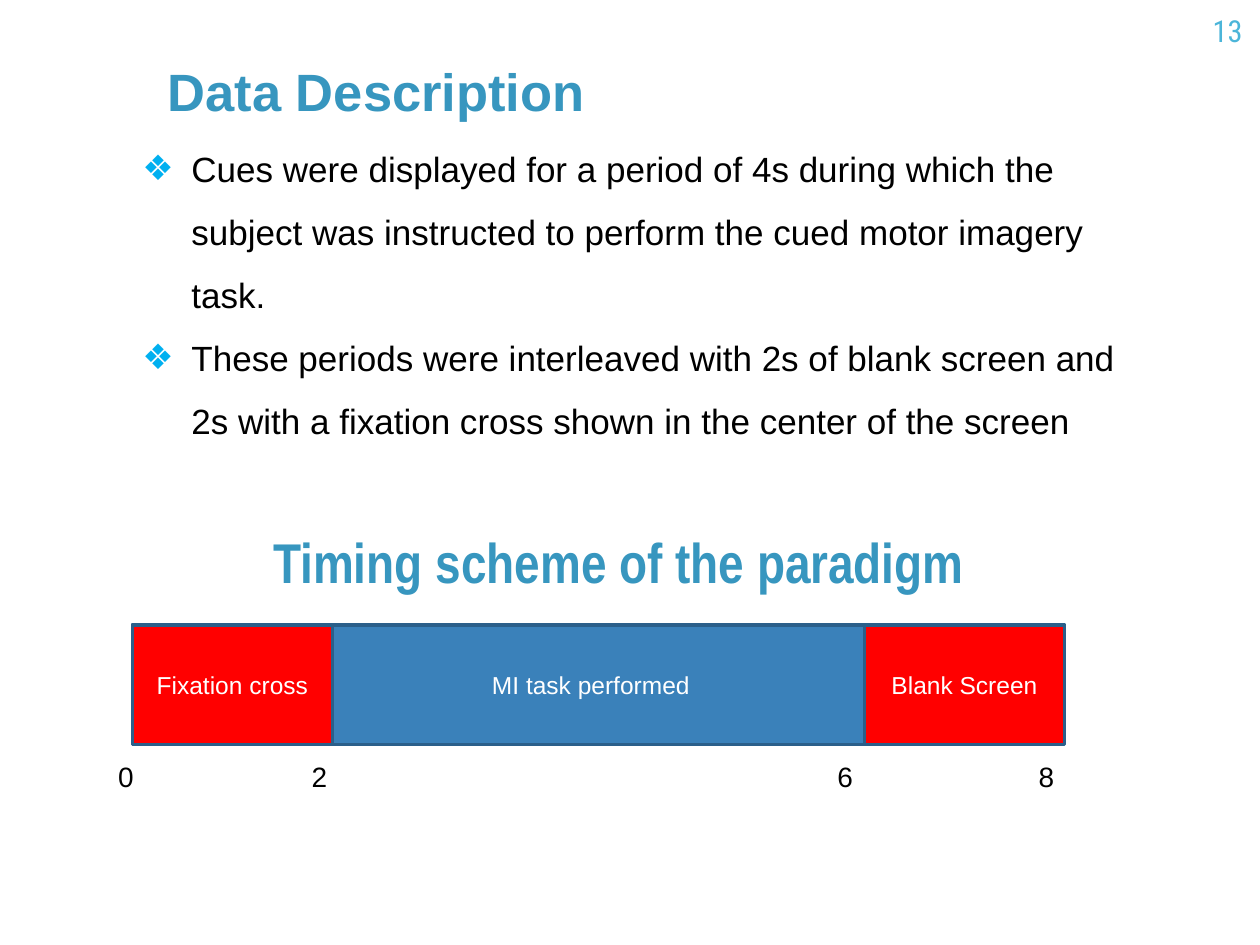
from lxml.etree import SubElement
from pptx import Presentation
from pptx.dml.color import RGBColor
from pptx.enum.shapes import MSO_SHAPE
from pptx.enum.text import MSO_ANCHOR as Anchor, MSO_AUTO_SIZE as AutoSize, PP_ALIGN as Align
from pptx.oxml.ns import qn
from pptx.util import Pt

BLACK = RGBColor(0, 0, 0)
WHITE = RGBColor(255, 255, 255)
RED = RGBColor(255, 0, 0)
BLUE = RGBColor(0x3A, 0x81, 0xBA)
OUTLINE = RGBColor(0x2B, 0x5F, 0x8A)
HEADING = RGBColor(0x37, 0x96, 0xBF)
NUMBER = RGBColor(0x4B, 0xB5, 0xD9)
BULLET = RGBColor(0, 0xB0, 0xF0)

# Content
TITLE = "Data Description"
POINTS = [
    "Cues were displayed for a period of 4s during which the subject was "
    "instructed to perform the cued motor imagery task.",
    "These periods were interleaved with 2s of blank screen and 2s with a "
    "fixation cross shown in the center of the screen",
]
SUBTITLE = "Timing scheme of the paradigm"
PHASES = [  # label, left, width, fill
    ("MI task performed", 75.6, 524.2, BLUE),
    ("Fixation cross", 75.6, 114.5, RED),
    ("Blank Screen", 493.9, 114.5, RED),
]
TIMES = [("0", 72), ("2", 182.5), ("6", 483), ("8", 598)]  # label, centre
BAR_TOP, BAR_HEIGHT = 357.1, 68.4


def place(shape, left, top, width, height):
    shape.left, shape.top = Pt(left), Pt(top)
    shape.width, shape.height = Pt(width), Pt(height)


def write(shape, *texts, size, color, font="Arial", bold=False, align=Align.LEFT,
          anchor=Anchor.TOP, spacing=1.0, inset=7.2, level=0):
    frame = shape.text_frame
    frame.word_wrap = True
    frame.auto_size = AutoSize.NONE
    frame.vertical_anchor = anchor
    frame.margin_left = frame.margin_right = Pt(inset)
    frame.margin_top = frame.margin_bottom = Pt(inset)
    for index, text in enumerate(texts):
        paragraph = frame.add_paragraph() if index else frame.paragraphs[0]
        paragraph.level = level
        paragraph.alignment = align
        paragraph.line_spacing = spacing
        paragraph.space_before = paragraph.space_after = Pt(0)
        run = paragraph.add_run()
        run.text = text
        run.font.name, run.font.size, run.font.bold = font, Pt(size), bold
        run.font.color.rgb = color
    return frame


def add_bullet(paragraph, character, color, margin, indent):
    properties = paragraph._p.get_or_add_pPr()
    properties.set("marL", str(Pt(margin)))
    properties.set("indent", str(Pt(indent)))
    bullet_color = SubElement(properties, qn("a:buClr"))
    SubElement(bullet_color, qn("a:srgbClr"), val=str(color))
    SubElement(properties, qn("a:buFont"), typeface="Arial")
    SubElement(properties, qn("a:buChar"), char=character)


presentation = Presentation()
presentation.slide_width, presentation.slide_height = Pt(720), Pt(540)
slide = presentation.slides.add_slide(presentation.slide_layouts[1])


def add_text(text, left, top, width, height, **style):
    box = slide.shapes.add_textbox(Pt(left), Pt(top), Pt(width), Pt(height))
    write(box, text, **style)


# Title and bullet list
title, body = slide.placeholders
place(title, 88.6, 5.8, 453.6, 71.3)
write(title, TITLE, size=30, color=HEADING, bold=True, anchor=Anchor.BOTTOM)
place(body, 30.2, 64.8, 635, 265)
points = write(body, *POINTS, size=20, color=BLACK, spacing=1.5, level=1)
for paragraph in points.paragraphs:
    add_bullet(paragraph, "❖", BULLET, margin=72, indent=-28)

# Slide number
add_text("13", 673.9, 0, 43.2, 41, size=17.3, color=NUMBER,
         font="Roboto Condensed", align=Align.RIGHT)

# Timing bar
for label, left, width, fill in PHASES:
    phase = slide.shapes.add_shape(
        MSO_SHAPE.RECTANGLE, Pt(left), Pt(BAR_TOP), Pt(width), Pt(BAR_HEIGHT))
    phase.shadow.inherit = False
    phase.fill.solid()
    phase.fill.fore_color.rgb = fill
    phase.line.color.rgb = OUTLINE
    phase.line.width = Pt(2)
    write(phase, label, size=14, color=WHITE, align=Align.CENTER,
          anchor=Anchor.MIDDLE, inset=3.6)

# Timing heading and time marks
add_text(SUBTITLE, 149, 275.8, 453.6, 71.3, size=32, color=HEADING,
         font="Arial Narrow", bold=True, anchor=Anchor.BOTTOM, spacing=1.1)
for label, centre in TIMES:
    add_text(label, centre - 15, 425.5, 30, 34.6, size=16, color=BLACK,
             align=Align.CENTER, anchor=Anchor.BOTTOM)

presentation.save("out.pptx")
